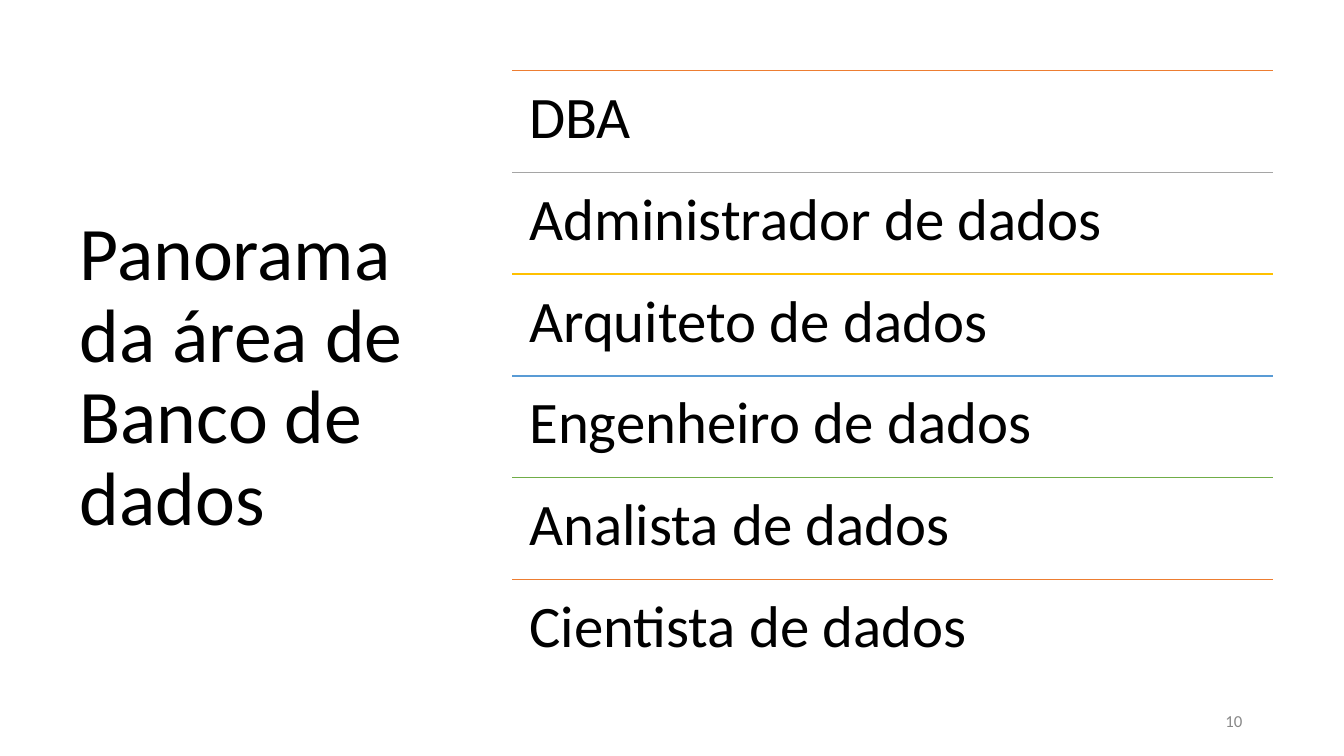
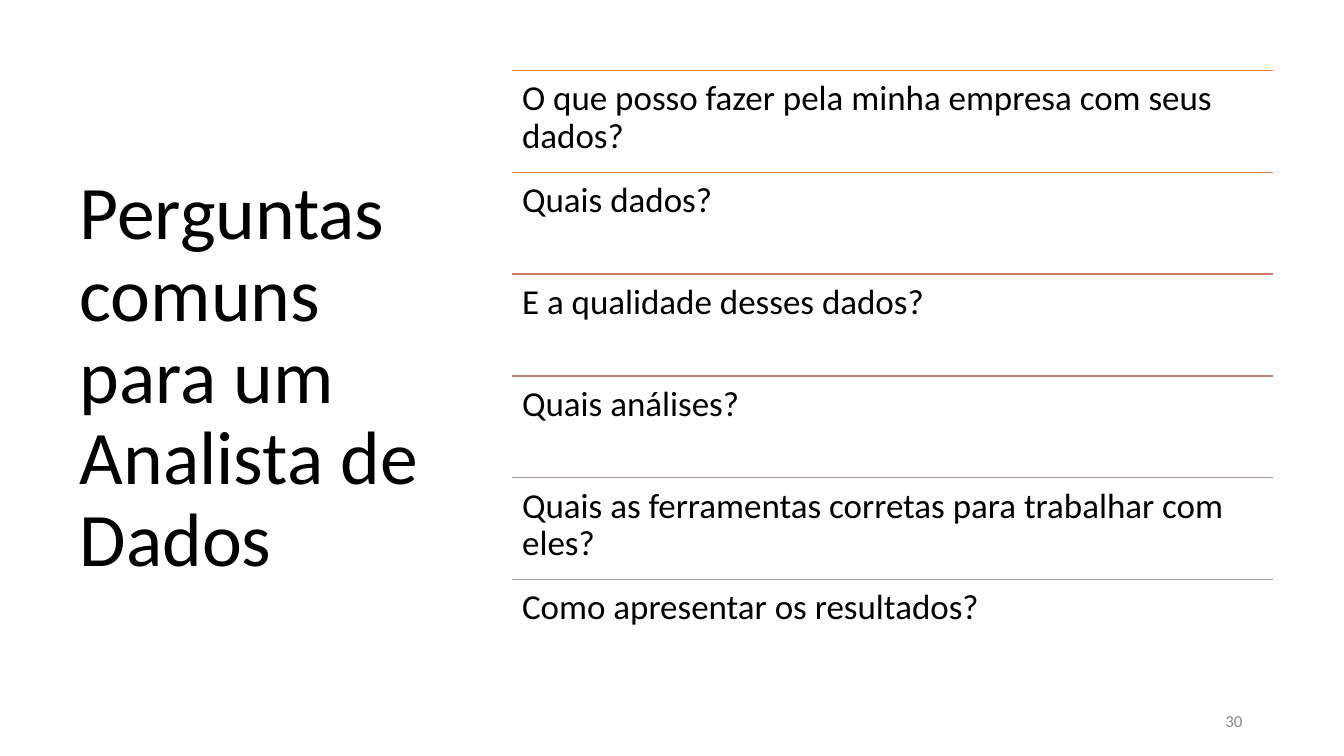
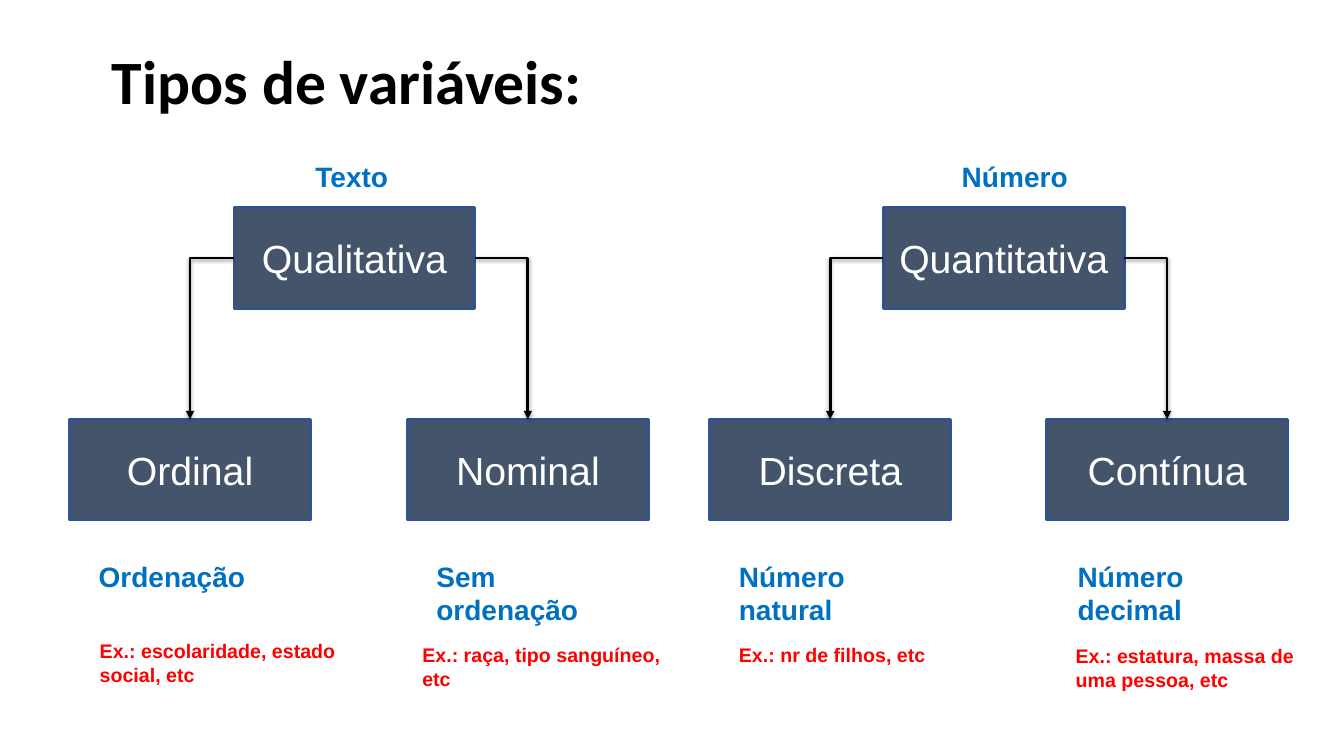
from lxml import etree
from pptx import Presentation
from pptx.dml.color import RGBColor
from pptx.enum.shapes import MSO_CONNECTOR, MSO_SHAPE
from pptx.enum.text import MSO_ANCHOR, MSO_AUTO_SIZE, PP_ALIGN
from pptx.oxml.ns import qn
from pptx.util import Inches, Pt

LEFT, MID, RIGHT = PP_ALIGN.LEFT, PP_ALIGN.CENTER, PP_ALIGN.RIGHT
TOP, CENTER = MSO_ANCHOR.TOP, MSO_ANCHOR.MIDDLE
FIXED, GROW = MSO_AUTO_SIZE.NONE, MSO_AUTO_SIZE.SHAPE_TO_FIT_TEXT
RECT = MSO_SHAPE.RECTANGLE
STRAIGHT, ELBOW = MSO_CONNECTOR.STRAIGHT, MSO_CONNECTOR.ELBOW

BLACK = RGBColor(0x00, 0x00, 0x00)
WHITE = RGBColor(0xFF, 0xFF, 0xFF)
GREY = RGBColor(0x88, 0x88, 0x88)
SLATE = RGBColor(0x44, 0x54, 0x6A)
NAVY = RGBColor(0x31, 0x53, 0x8F)
BLUE = RGBColor(0x00, 0x70, 0xC0)
RED = RGBColor(0xFF, 0x00, 0x00)
ORANGE = RGBColor(0xED, 0x7D, 0x31)
SILVER = RGBColor(0xA5, 0xA5, 0xA5)
GOLD = RGBColor(0xFF, 0xC0, 0x00)
SKY = RGBColor(0x59, 0x9B, 0xD5)
GREEN = RGBColor(0x70, 0xAD, 0x47)
RUST = RGBColor(0xDB, 0x78, 0x4A)
CLAY = RGBColor(0xCB, 0x7C, 0x63)
ROSE = RGBColor(0xBC, 0x85, 0x7A)
TAUPE = RGBColor(0xAF, 0x93, 0x90)
ASH = RGBColor(0xA4, 0xA4, 0xA4)


def face(size, color, name="Arial", bold=False):
    return {"size": Pt(size), "color": color, "name": name, "bold": bold}


HEAD = face(54, BLACK, "Calibri")
TITLE = face(44, BLACK, "Calibri", True)
FOOT = face(12, GREY, "Calibri")
NODE = face(28, WHITE)
LABEL = face(20, BLUE, bold=True)
NOTE = face(14, RED, bold=True)

LISTS = [
    {
        "title": "Panorama da área de Banco de dados",
        "page": "10", "size": 42, "pad": 0.17,
        "rows": [
            ("DBA", ORANGE),
            ("Administrador de dados", SILVER),
            ("Arquiteto de dados", GOLD),
            ("Engenheiro de dados", SKY),
            ("Analista de dados", GREEN),
            ("Cientista de dados", ORANGE),
        ],
    },
    {
        "title": "Perguntas comuns para um Analista de Dados",
        "page": "30", "size": 25, "pad": 0.1,
        "rows": [
            ("O que posso fazer pela minha empresa com seus dados?", ORANGE),
            ("Quais dados?", RUST),
            ("E a qualidade desses dados?", CLAY),
            ("Quais análises?", ROSE),
            ("Quais as ferramentas corretas para trabalhar com eles?", TAUPE),
            ("Como apresentar os resultados?", ASH),
        ],
    },
]

TREES = [
    ("Qualitativa", 2.32, ("Texto", 3.03, 1), [
        ("Ordinal", 0.69, ("Ordenação", 0.88, 2),
         ("Ex.: escolaridade, estado social, etc", 0.89, 6.29)),
        ("Nominal", 4.04, ("Sem ordenação", 4.23, 2),
         ("Ex.: raça, tipo sanguíneo, etc", 4.09, 6.33)),
    ]),
    ("Quantitativa", 8.76, ("Número", 9.44, 1.48), [
        ("Discreta", 7.04, ("Número natural", 7.23, 2.05),
         ("Ex.: nr de filhos, etc", 7.23, 6.33)),
        ("Contínua", 10.38, ("Número decimal", 10.59, 2.13),
         ("Ex.: estatura, massa de uma pessoa, etc", 10.57, 6.34)),
    ]),
]

ROW_X, ROW_Y, ROW_W, ROW_H = 5.08, 0.7, 7.55, 1.01
NODE_W, NODE_H = 2.39, 1


def write(shape, text, font, align=LEFT, anchor=TOP, fit=FIXED,
          pad=(0.1, 0.05), space=None):
    frame = shape.text_frame
    frame.text = text
    x, y = (Inches(side) for side in pad)
    form = {"word_wrap": True, "auto_size": fit, "vertical_anchor": anchor,
            "margin_left": x, "margin_right": x,
            "margin_top": y, "margin_bottom": y}
    for key, value in form.items():
        setattr(frame, key, value)
    para = frame.paragraphs[0]
    para.alignment = align
    if space:
        para.line_spacing = space
    for key, value in font.items():
        if key == "color":
            para.font.color.rgb = value
        else:
            setattr(para.font, key, value)


def add_text(slide, text, area, font, **form):
    box = slide.shapes.add_textbox(*map(Inches, area))
    write(box, text, font, **form)


def add_slide(deck, title, area, font):
    slide = deck.slides.add_slide(deck.slide_layouts[5])
    head = slide.shapes.title
    for key, value in zip(("left", "top", "width", "height"), area):
        setattr(head, key, Inches(value))
    write(head, title, font, anchor=CENTER, space=0.9)
    return slide


def add_line(slide, kind, ends, color, width):
    line = slide.shapes.add_connector(kind, *map(Inches, ends))
    line.line.color.rgb = color
    line.line.width = Pt(width)
    effect = etree.SubElement(line._element.spPr, qn("a:effectLst"))
    return line, effect


def add_node(slide, text, x, y):
    node = slide.shapes.add_shape(
        RECT, *map(Inches, (x, y, NODE_W, NODE_H)))
    node.shadow.inherit = False
    node.fill.solid()
    node.fill.fore_color.rgb = SLATE
    node.line.color.rgb = NAVY
    node.line.width = Pt(2)
    write(node, text, NODE, align=MID, anchor=CENTER)
    return node


def add_arrow(slide, root, leaf, site):
    line, effect = add_line(slide, ELBOW, (0, 0, 1, 1), BLACK, 2)
    line.begin_connect(root, site)
    line.end_connect(leaf, 0)
    props = line._element.spPr
    props.find(qn("a:prstGeom")).set("prst", "bentConnector2")
    etree.SubElement(props.find(qn("a:ln")), qn("a:tailEnd"), type="triangle")
    shade = etree.SubElement(
        effect, qn("a:outerShdw"), blurRad=str(Pt(3.1)), dist=str(Pt(1.6)),
        dir="5400000", rotWithShape="0")
    tint = etree.SubElement(shade, qn("a:srgbClr"), val=str(BLACK))
    etree.SubElement(tint, qn("a:alpha"), val="37000")


def add_list(deck, data):
    slide = add_slide(deck, data["title"], (0.69, 0.7, 3.74, 6.11), HEAD)
    font = face(data["size"], BLACK, "Calibri")
    for i, (text, color) in enumerate(data["rows"]):
        y = ROW_Y + i * ROW_H
        add_line(slide, STRAIGHT, (ROW_X, y, ROW_X + ROW_W, y), color, 1)
        add_text(slide, text, (ROW_X, y, ROW_W, ROW_H), font,
                 pad=(data["pad"], data["pad"]), space=0.9)
    add_text(slide, data["page"], (9.42, 6.95, 3, 0.4), FOOT,
             align=RIGHT, anchor=CENTER)


def add_trees(deck):
    slide = add_slide(deck, "Tipos de variáveis:",
                      (1.01, 0.11, 11.5, 1.45), TITLE)
    for name, x, (tag, tag_x, tag_w), leaves in TREES:
        root = add_node(slide, name, x, 2.06)
        add_text(slide, tag, (tag_x, 1.53, tag_w, 0.44), LABEL, fit=GROW)
        for site, (kind, left, label, note) in zip((1, 3), leaves):
            leaf = add_node(slide, kind, left, 4.16)
            add_arrow(slide, root, leaf, site)
            text, lab_x, lab_w = label
            add_text(slide, text, (lab_x, 5.5, lab_w, 0.44), LABEL, fit=GROW)
            text, note_x, note_y = note
            add_text(slide, text, (note_x, note_y, 2.68, 0.4), NOTE, fit=GROW)


def main():
    deck = Presentation()
    deck.slide_width, deck.slide_height = Inches(13.33), Inches(7.5)
    for data in LISTS:
        add_list(deck, data)
    add_trees(deck)
    deck.save("out.pptx")


if __name__ == "__main__":
    main()
